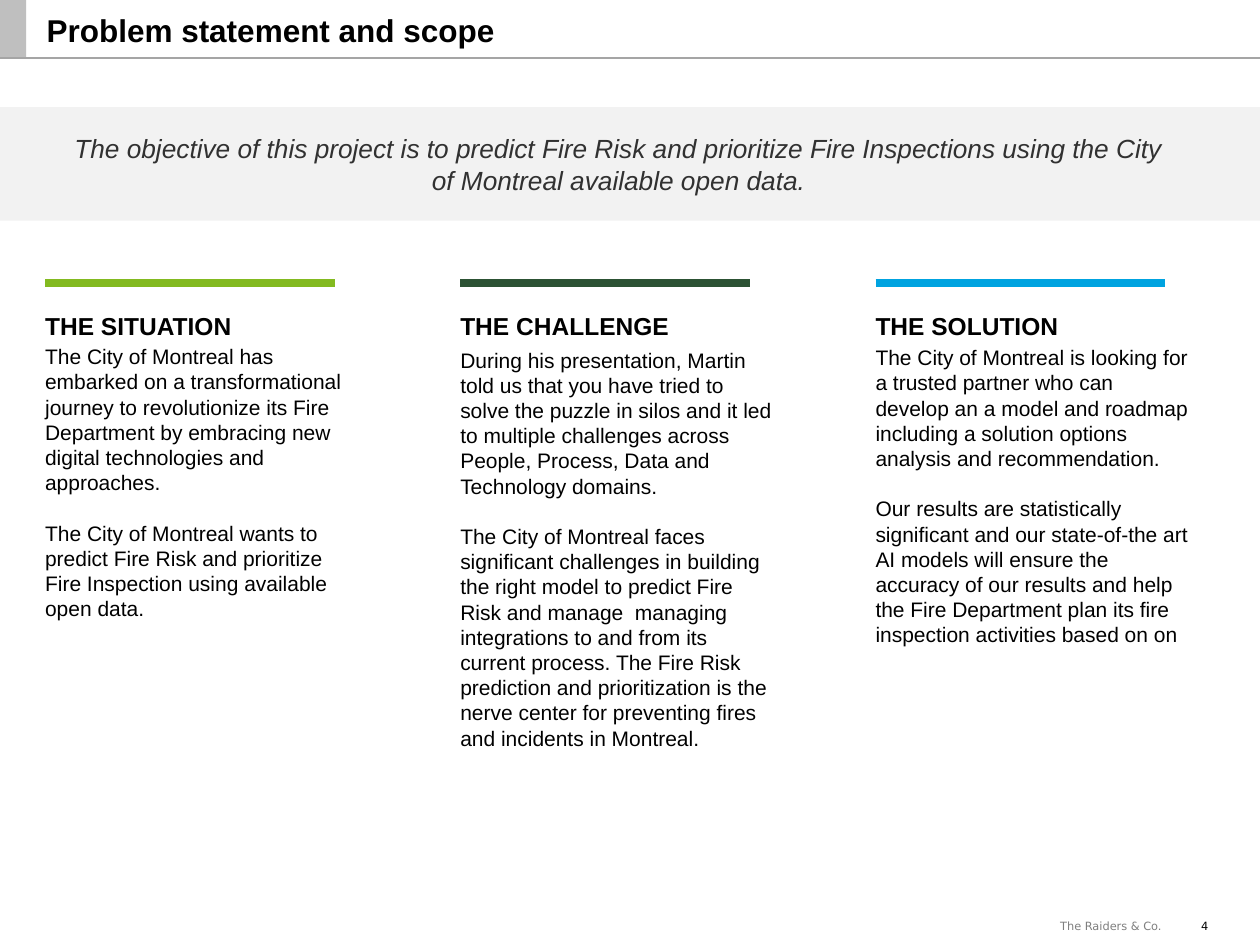
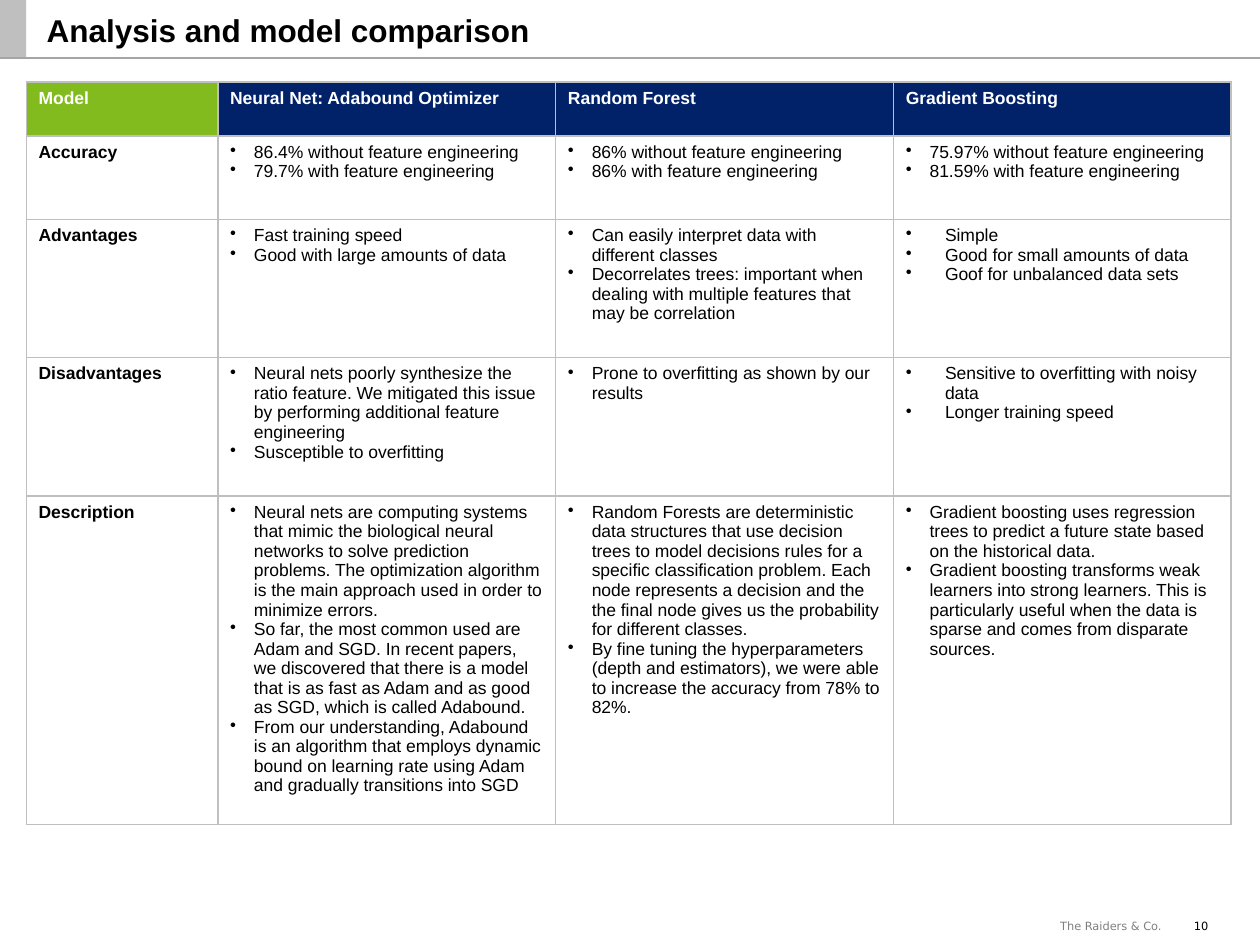
import lxml.etree
import pptx
import pptx.dml.color
import pptx.enum.shapes
import pptx.enum.text
import pptx.oxml.ns
import pptx.util
from pptx.util import Cm, Pt

COLORS = {
    "text": "000000",
    "objective": "313131",
    "footer": "7F7F7F",
    "band": "F2F2F2",
    "tab": "BFBFBF",
    "title_rule": "A5A5A5",
    "grid": "BFBFBF",
    "white": "FFFFFF",
    "situation": "83BA20",
    "challenge": "2C5234",
    "solution": "00A3E0",
    "model_head": "82BB1E",
    "head": "012169",
}
BODY_FONT = "Arial"
FOOTER_FONT = "DejaVu Sans"
LEADING = 1.2
SLIDE_WIDTH = 25.4
ALIGN = pptx.enum.text.PP_ALIGN

COLUMN_LEFT = 0.91
COLUMN_PITCH = 8.37
COLUMNS = [
    ("THE SITUATION", "situation", 6.93, [
        "The City of Montreal has embarked on a transformational journey to revolutionize its "
        "Fire Department by embracing new digital technologies and approaches.",
        "The City of Montreal wants to predict Fire Risk and prioritize Fire Inspection using "
        "available open data.",
    ]),
    ("THE CHALLENGE", "challenge", 7.0, [
        "During his presentation, Martin told us that you have tried to solve the puzzle in silos "
        "and it led to multiple challenges across People, Process, Data and Technology domains.",
        "The City of Montreal faces significant challenges in building the right model to predict "
        "Fire Risk and manage  managing integrations to and from its current process. The Fire "
        "Risk prediction and prioritization is the nerve center for preventing fires and "
        "incidents in Montreal.",
    ]),
    ("THE SOLUTION", "solution", 6.95, [
        "The City of Montreal is looking for a trusted partner who can develop an a model and "
        "roadmap including a solution options analysis and recommendation.",
        "Our results are statistically significant and our state-of-the art AI models will ensure "
        "the accuracy of our results and help the Fire Department plan its fire inspection "
        "activities based on on",
    ]),
]

MODELS = ["Model", "Neural Net: Adabound Optimizer", "Random Forest", "Gradient Boosting"]
COLUMN_WIDTHS = [3.86, 6.81, 6.81, 6.81]
ROW_HEIGHTS = [1.09, 1.68, 2.79, 2.79, 6.62]
NARROW_INDENT = 0.48
WIDE_INDENT = 0.79
WIDE_CELLS = {("Advantages", "Gradient Boosting"), ("Disadvantages", "Gradient Boosting")}
COMPARISON = [
    ("Accuracy", [
        ["86.4% without feature engineering", "79.7% with feature engineering"],
        ["86% without feature engineering", "86% with feature engineering"],
        ["75.97% without feature engineering", "81.59% with feature engineering"],
    ]),
    ("Advantages", [
        ["Fast training speed", "Good with large amounts of data"],
        ["Can easily interpret data with different classes",
         "Decorrelates trees: important when dealing with multiple features that may be "
         "correlation"],
        ["Simple", "Good for small amounts of data", "Goof for unbalanced data sets"],
    ]),
    ("Disadvantages", [
        ["Neural nets poorly synthesize the ratio feature. We mitigated this issue by performing "
         "additional feature engineering",
         "Susceptible to overfitting"],
        ["Prone to overfitting as shown by our results"],
        ["Sensitive to overfitting with noisy data", "Longer training speed"],
    ]),
    ("Description", [
        ["Neural nets are computing systems that mimic the biological neural networks to solve "
         "prediction problems. The optimization algorithm is the main approach used in order to "
         "minimize errors.",
         "So far, the most common used are Adam and SGD. In recent papers, we discovered that "
         "there is a model that is as fast as Adam and as good as SGD, which is called Adabound.",
         "From our understanding, Adabound is an algorithm that employs dynamic bound on learning "
         "rate using Adam and gradually transitions into SGD"],
        ["Random Forests are deterministic data structures that use decision trees to model "
         "decisions rules for a specific classification problem. Each node represents a decision "
         "and the the final node gives us the probability for different classes.",
         "By fine tuning the hyperparameters (depth and estimators), we were able to increase the "
         "accuracy from 78% to 82%."],
        ["Gradient boosting uses regression trees to predict a future state based on the "
         "historical data.",
         "Gradient boosting transforms weak learners into strong learners. This is particularly "
         "useful when the data is sparse and comes from disparate sources."],
    ]),
]


def rgb(name):
    return pptx.dml.color.RGBColor.from_string(COLORS[name])


def add_element(parent, tag, **attributes):
    return lxml.etree.SubElement(parent, pptx.oxml.ns.qn(tag), attributes)


def style_font(paragraph, size, color="text", bold=False, italic=False, name=BODY_FONT):
    font = paragraph.font
    font.name, font.size, font.bold, font.italic = name, Pt(size), bold, italic
    font.color.rgb = rgb(color)


def fill_frame(frame, texts, size, align=ALIGN.LEFT, **style):
    frame.word_wrap = True
    frame.auto_size = pptx.enum.text.MSO_AUTO_SIZE.NONE
    frame.vertical_anchor = pptx.enum.text.MSO_ANCHOR.TOP
    frame.margin_left = frame.margin_right = frame.margin_top = frame.margin_bottom = 0
    for index, text in enumerate(texts):
        paragraph = frame.add_paragraph() if index else frame.paragraphs[0]
        paragraph.text = text
        paragraph.alignment = align
        paragraph.line_spacing = Pt(size * LEADING)
        paragraph.space_before = Pt(size * LEADING if index else 0)
        style_font(paragraph, size, **style)


def add_text(slide, left, top, width, height, texts, size, **style):
    box = slide.shapes.add_textbox(Cm(left), Cm(top), Cm(width), Cm(height))
    fill_frame(box.text_frame, texts, size, **style)


def add_band(slide, top, width, height, color):
    band = slide.shapes.add_shape(pptx.enum.shapes.MSO_SHAPE.RECTANGLE,
                                  0, Cm(top), Cm(width), Cm(height))
    band.shadow.inherit = False
    band.fill.solid()
    band.fill.fore_color.rgb = rgb(color)
    band.line.fill.background()


def add_rule(slide, left, top, width, color, weight):
    rule = slide.shapes.add_connector(pptx.enum.shapes.MSO_CONNECTOR.STRAIGHT,
                                      Cm(left), Cm(top), Cm(left + width), Cm(top))
    rule.line.color.rgb = rgb(color)
    rule.line.width = Pt(weight)
    add_element(rule.element.spPr, "a:effectLst")


def add_titled_slide(deck, heading, number):
    slide = deck.slides.add_slide(deck.slide_layouts[5])
    add_band(slide, 0, 0.53, 1.19, "tab")
    add_rule(slide, 0, 1.17, SLIDE_WIDTH, "title_rule", 0.75)
    title = slide.shapes.title
    title.left, title.top, title.width, title.height = Cm(0.94), Cm(0.23), Cm(24.05), Cm(0.76)
    fill_frame(title.text_frame, [heading], 18, bold=True)
    add_text(slide, 13.21, 18.52, 10.21, 0.28, ["The Raiders & Co."], 6.5,
             align=ALIGN.RIGHT, color="footer", name=FOOTER_FONT)
    add_text(slide, 23.72, 18.52, 0.64, 0.28, [str(number)], 6.5,
             align=ALIGN.RIGHT, name=FOOTER_FONT)
    return slide


def add_column(slide, index, heading, color, body_top, body):
    left = COLUMN_LEFT + index * COLUMN_PITCH
    add_rule(slide, left, 5.7, 5.84, color, 4.5)
    add_text(slide, left, 6.27, 7.62, 0.61, [heading], 14, bold=True)
    add_text(slide, left, body_top, 6.4, 8.2, body, 12)


def add_bullet(paragraph, indent):
    properties = paragraph._p.get_or_add_pPr()
    properties.set("marL", str(Cm(indent)))
    properties.set("indent", str(-Cm(indent)))
    add_element(properties, "a:buChar", char="•")


def fill_cell(cell, texts, color="text", fill=None, bold=False, indent=None):
    properties = cell._tc.get_or_add_tcPr()
    for side in ("a:lnL", "a:lnR", "a:lnT", "a:lnB"):
        border = add_element(properties, side, w=str(Pt(1)))
        add_element(add_element(border, "a:solidFill"), "a:srgbClr", val=COLORS["grid"])
    if fill:
        cell.fill.solid()
        cell.fill.fore_color.rgb = rgb(fill)
    else:
        cell.fill.background()
    cell.margin_left = cell.margin_right = Cm(0.25)
    cell.margin_top = cell.margin_bottom = Cm(0.13)
    for index, text in enumerate(texts):
        paragraph = cell.text_frame.add_paragraph() if index else cell.text_frame.paragraphs[0]
        paragraph.text = text
        if indent:
            add_bullet(paragraph, indent)
        style_font(paragraph, 10, color, bold)


def add_comparison(slide):
    table = slide.shapes.add_table(len(ROW_HEIGHTS), len(COLUMN_WIDTHS), Cm(0.53), Cm(1.65),
                                   Cm(sum(COLUMN_WIDTHS)), Cm(sum(ROW_HEIGHTS))).table
    table.first_row = table.horz_banding = False
    for column, width in zip(table.columns, COLUMN_WIDTHS):
        column.width = Cm(width)
    for row, height in zip(table.rows, ROW_HEIGHTS):
        row.height = Cm(height)
    for column, model in enumerate(MODELS):
        fill_cell(table.cell(0, column), [model], "white",
                  "head" if column else "model_head", bold=True)
    for row, (aspect, findings) in enumerate(COMPARISON, 1):
        fill_cell(table.cell(row, 0), [aspect], bold=True)
        for column, points in enumerate(findings, 1):
            wide = (aspect, MODELS[column]) in WIDE_CELLS
            fill_cell(table.cell(row, column), points,
                      indent=WIDE_INDENT if wide else NARROW_INDENT)


def main():
    deck = pptx.Presentation()
    deck.slide_width, deck.slide_height = Cm(SLIDE_WIDTH), Cm(19.05)

    scope = add_titled_slide(deck, "Problem statement and scope", 4)
    add_band(scope, 2.16, SLIDE_WIDTH, 2.29, "band")
    add_text(scope, 1.22, 2.67, 22.5, 1.27,
             ["The objective of this project is to predict Fire Risk and prioritize Fire "
              "Inspections using the City of Montreal available open data."],
             15, align=ALIGN.CENTER, color="objective", italic=True)
    for index, column in enumerate(COLUMNS):
        add_column(scope, index, *column)

    comparison = add_titled_slide(deck, "Analysis and model comparison", 10)
    add_comparison(comparison)

    deck.save("out.pptx")


if __name__ == "__main__":
    main()
